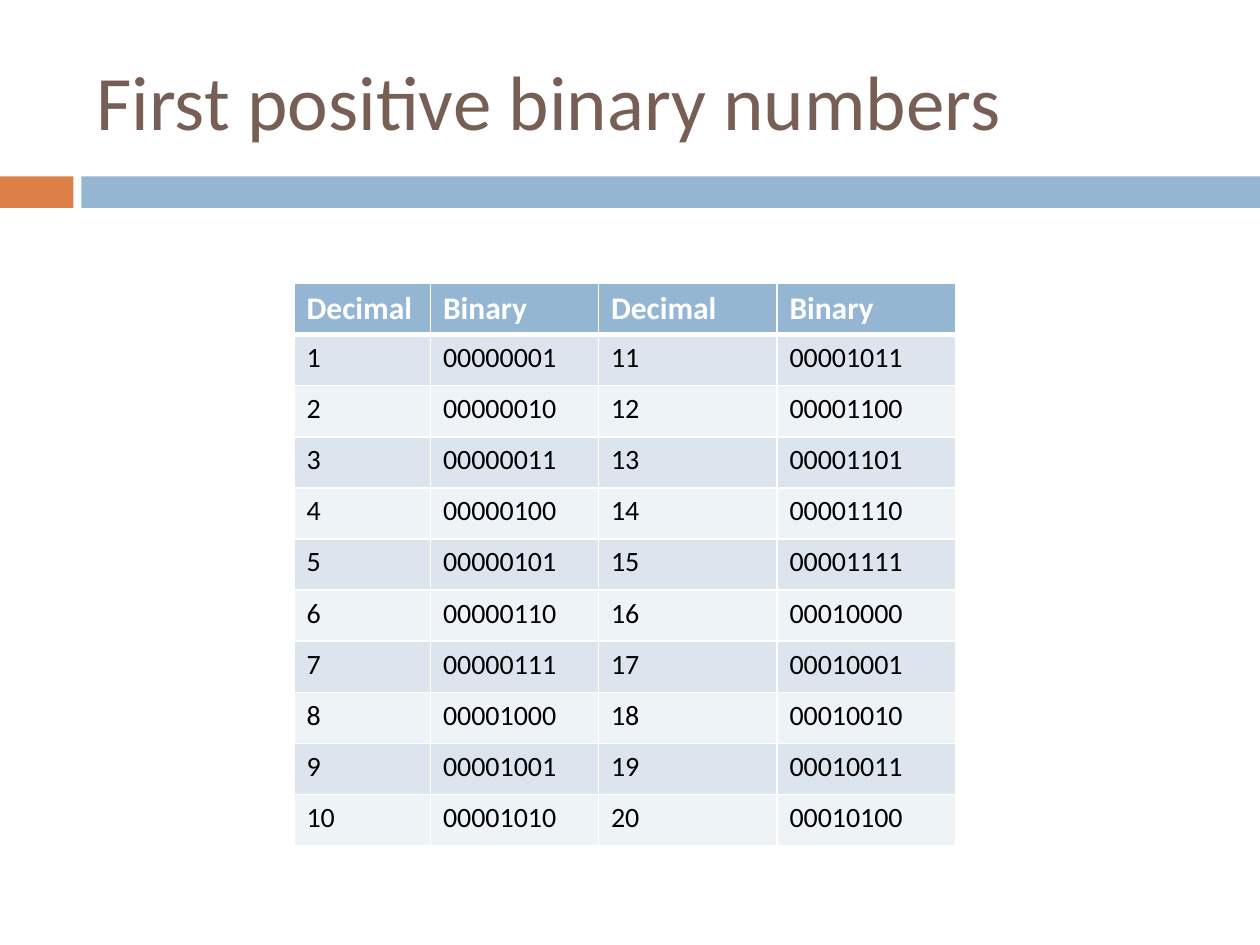
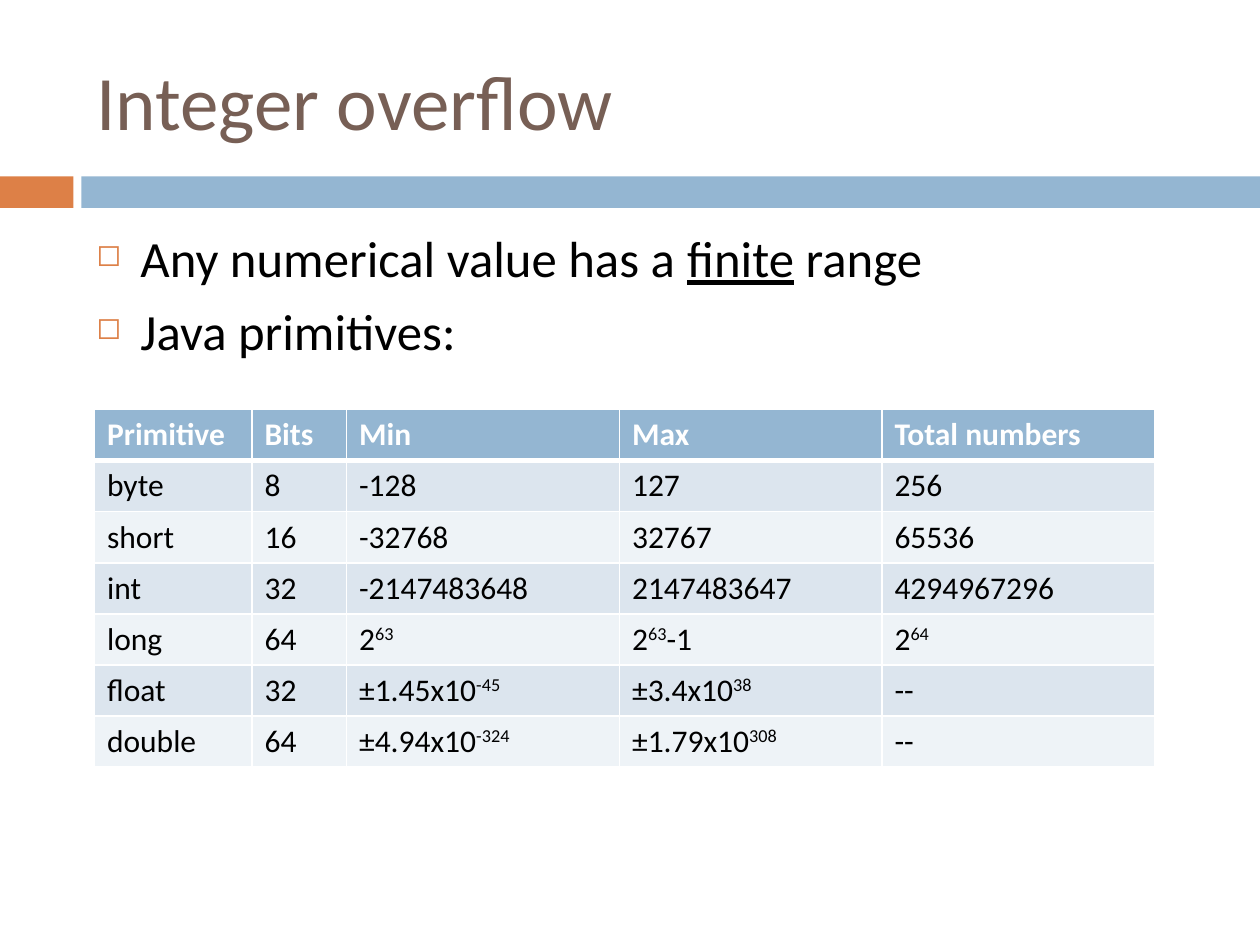
from lxml import etree
from pptx import Presentation
from pptx import util as u
from pptx.dml import color
from pptx.enum import shapes, text
from pptx.oxml import ns

Pt = u.Pt
FONT = "Calibri"
HUES = {
    "title": "775F55",
    "accent": "DD8047",
    "band": "94B6D2",
    "odd": "DCE5EE",
    "even": "EEF3F7",
    "white": "FFFFFF",
    "black": "000000",
}
ROW = 29.2
PRIMS = [
    ["Primitive", "Bits", "Min", "Max", "Total numbers"],
    ["byte", "8", "-128", "127", "256"],
    ["short", "16", "-32768", "32767", "65536"],
    ["int", "32", "-2147483648", "2147483647", "4294967296"],
    ["long", "64", "2^63", "2^63^-1", "2^64"],
    ["float", "32", "±1.45x10^-45", "±3.4x10^38", "--"],
    ["double", "64", "±4.94x10^-324", "±1.79x10^308", "--"],
]


def hue(name):
    return color.RGBColor.from_string(HUES[name])


def paint(item, name):
    item.fill.solid()
    item.fill.fore_color.rgb = hue(name)


def node(base, tag, **attrs):
    item = etree.SubElement(base, ns.qn("a:" + tag))
    for key, value in attrs.items():
        item.set(key, str(value))
    return item


def write(para, words, size, tint="black", bold=False, mark="^"):
    for i, part in enumerate(words.split(mark)):
        run = para.add_run()
        run.text = part
        font = run.font
        font.name, font.size, font.bold = FONT, Pt(size), bold
        font.color.rgb = hue(tint)
        if i % 2 and mark == "^":
            font._element.set("baseline", "30000")
        elif i % 2:
            font.underline = True


def add_bar(slide, left, width, tint):
    bar = slide.shapes.add_shape(
        shapes.MSO_SHAPE.RECTANGLE, Pt(left), Pt(100.8), Pt(width), Pt(18))
    bar.shadow.inherit = False
    bar.line.fill.background()
    paint(bar, tint)


def add_box(slide, top, height, anchor):
    box = slide.shapes.add_textbox(Pt(48), Pt(top), Pt(642), Pt(height))
    frame = box.text_frame
    frame.word_wrap = True
    frame.vertical_anchor = anchor
    return frame


def add_slide(deck, title):
    slide = deck.slides.add_slide(deck.slide_layouts[6])
    add_bar(slide, 0, 42, "accent")
    add_bar(slide, 46.5, 673.5, "band")
    frame = add_box(slide, 18, 78, text.MSO_ANCHOR.MIDDLE)
    write(frame.paragraphs[0], title, 44, "title")
    return slide


def add_list(slide, items):
    frame = add_box(slide, 126, 354, text.MSO_ANCHOR.TOP)
    for i, words in enumerate(items):
        para = frame.add_paragraph() if i else frame.paragraphs[0]
        para.space_before = Pt(7)
        props = para._p.get_or_add_pPr()
        props.set("marL", str(Pt(25.2)))
        props.set("indent", str(-Pt(25.2)))
        node(node(props, "buClr"), "srgbClr", val=HUES["accent"])
        node(props, "buSzPct", val=60000)
        node(props, "buChar", char="◻")
        write(para, words, 29, mark="_")


def add_edge(cell, side, width):
    line = node(cell._tc.get_or_add_tcPr(), "ln" + side, w=Pt(width))
    node(node(line, "solidFill"), "srgbClr", val=HUES["white"])


def add_grid(slide, left, top, widths, rows, size):
    grid = slide.shapes.add_table(
        len(rows), len(widths), Pt(left), Pt(top),
        Pt(sum(widths)), Pt(ROW * len(rows))).table
    for column, width in zip(grid.columns, widths):
        column.width = Pt(width)
    for r, row in enumerate(rows):
        grid.rows[r].height = Pt(ROW)
        head = r == 0
        for c, words in enumerate(row):
            cell = grid.cell(r, c)
            for side in "LRT" if head else "LR":
                add_edge(cell, side, 1)
            add_edge(cell, "B", 3 if head else 1)
            paint(cell, "band" if head else "odd" if r % 2 else "even")
            write(cell.text_frame.paragraphs[0], words, 18 if head else size,
                  "white" if head else "black", head)


def main():
    deck = Presentation()
    deck.slide_width, deck.slide_height = Pt(720), Pt(540)

    slide = add_slide(deck, "First positive binary numbers")
    rows = [["Decimal", "Binary"] * 2]
    for n in range(1, 11):
        rows.append([format(k, f) for k in (n, n + 10) for f in ("d", "08b")])
    add_grid(slide, 168, 162, [78, 96, 102, 102], rows, 16)

    slide = add_slide(deck, "Integer overflow")
    add_list(slide, ["Any numerical value has a _finite_ range",
                     "Java primitives:"])
    add_grid(slide, 54, 234, [90, 54, 156, 150, 156], PRIMS, 18)

    deck.save("out.pptx")


main()
